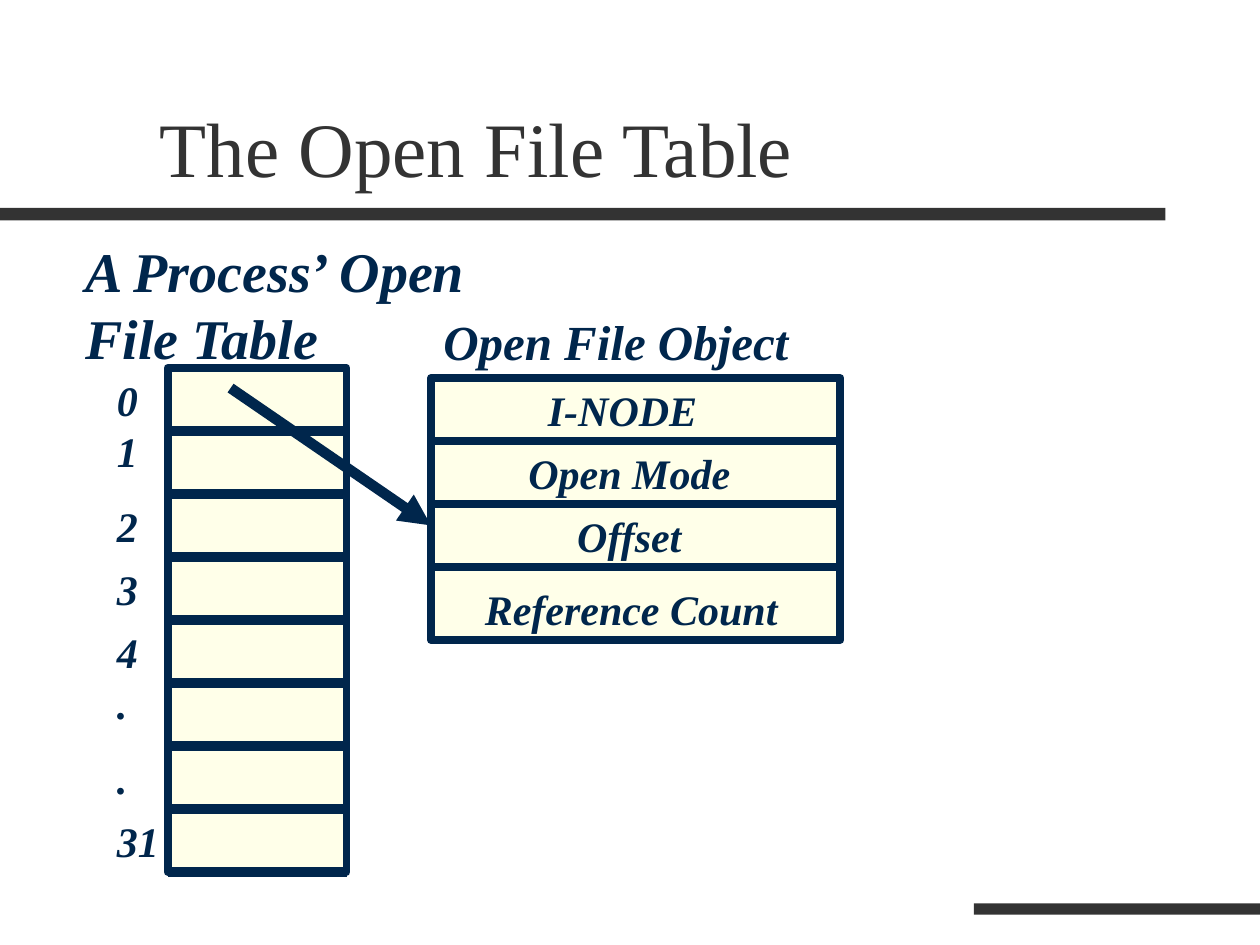
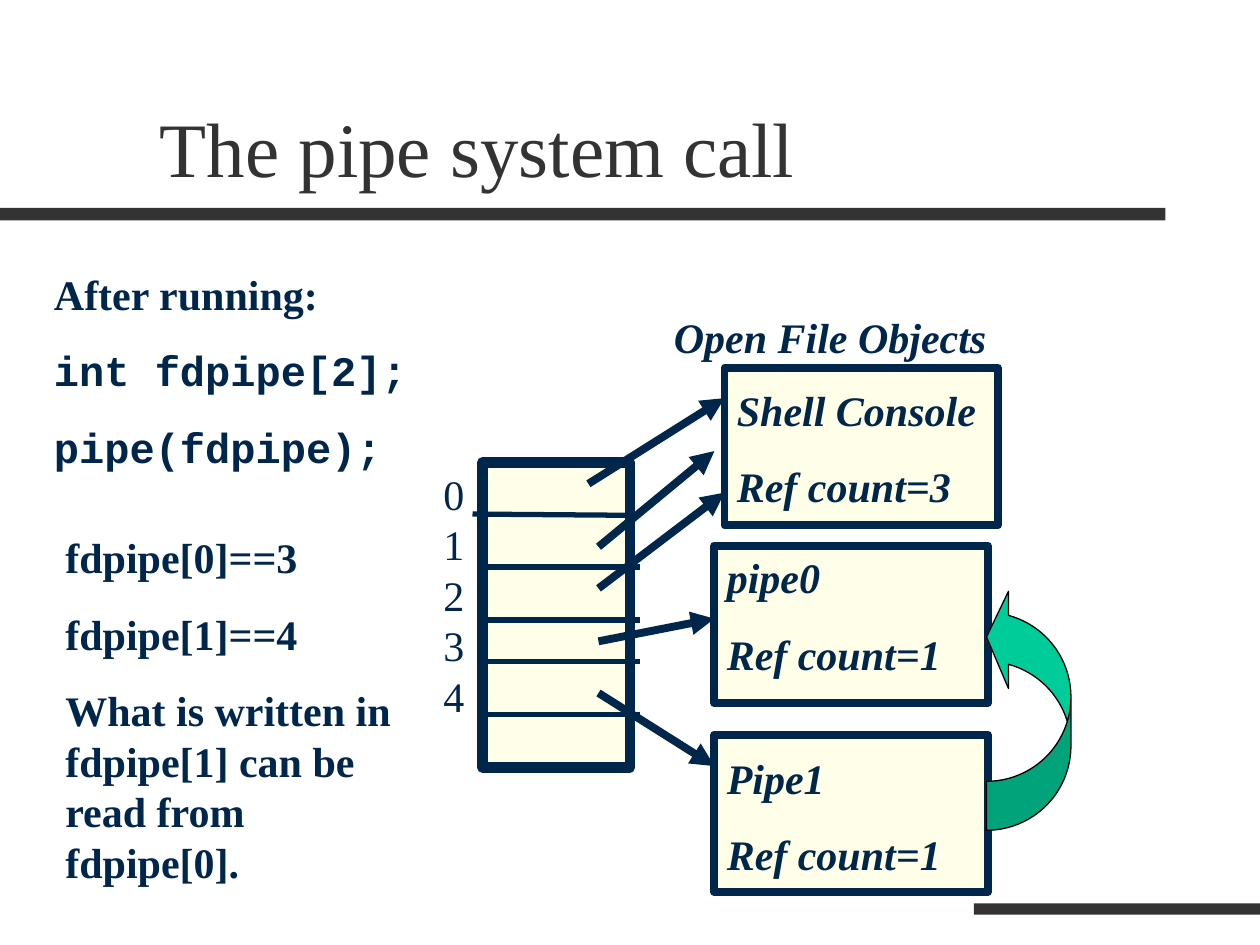
from pptx import Presentation
from pptx.dml.color import RGBColor
from pptx.enum.shapes import MSO_CONNECTOR, MSO_SHAPE
from pptx.enum.text import MSO_ANCHOR, MSO_AUTO_SIZE, PP_ALIGN
from pptx.oxml.ns import qn
from pptx.util import Inches, Pt
from lxml import etree

STRAIGHT = MSO_CONNECTOR.STRAIGHT
RECTANGLE = MSO_SHAPE.RECTANGLE
CURVED_ARROW = MSO_SHAPE.CURVED_LEFT_ARROW
BOTTOM = MSO_ANCHOR.BOTTOM
GROW = MSO_AUTO_SIZE.SHAPE_TO_FIT_TEXT
LEFT, CENTER = PP_ALIGN.LEFT, PP_ALIGN.CENTER

CHARCOAL = RGBColor(0x33, 0x33, 0x33)
NAVY = RGBColor(0x00, 0x26, 0x4C)
CREAM = RGBColor(0xFF, 0xFF, 0xE9)
GREEN = RGBColor(0x00, 0xCC, 0x99)
BLACK = RGBColor(0, 0, 0)

SERIF = "Times New Roman"
MONO = "Courier New"


def add_block(slide, box, fill, line_color=None, line_width=0, preset=RECTANGLE):
    """Add a filled shape, outlined when a line colour is given."""
    block = slide.shapes.add_shape(preset, *map(Inches, box))
    block.shadow.inherit = False
    block.fill.solid()
    block.fill.fore_color.rgb = fill
    if line_color is None:
        block.line.fill.background()
    else:
        block.line.color.rgb = line_color
        block.line.width = Pt(line_width)
    return block


def add_cell_box(slide, box, line_width=4.5):
    add_block(slide, box, CREAM, NAVY, line_width)


def add_line(slide, start, end, width, arrow=False):
    line = slide.shapes.add_connector(STRAIGHT, *map(Inches, (*start, *end)))
    line.line.color.rgb = NAVY
    line.line.width = Pt(width)
    properties = line.element.spPr
    if arrow:
        head = etree.SubElement(properties.find(qn("a:ln")), qn("a:tailEnd"))
        head.set("type", "triangle")
    etree.SubElement(properties, qn("a:effectLst"))


def format_paragraph(paragraph, size, color, bold, italic, font=SERIF):
    for run in paragraph.runs:
        run.font.name = font
        run.font.size = Pt(size)
        run.font.color.rgb = color
        run.font.bold = bold
        run.font.italic = italic


def add_label(slide, box, lines, size=24, bold=True, italic=True,
              align=LEFT, wrap=True, mono_lines=()):
    """Add navy text, one paragraph a line, spaced in step with its size."""
    label = slide.shapes.add_textbox(*map(Inches, box))
    frame = label.text_frame
    frame.word_wrap = wrap
    frame.auto_size = GROW
    frame.text = "\n".join(lines)
    for paragraph in frame.paragraphs:
        paragraph.alignment = align
        paragraph.space_before = Pt(size * 0.625)
        font = MONO if paragraph.text in mono_lines else SERIF
        format_paragraph(paragraph, size, NAVY, bold, italic, font)


def add_titled_slide(deck, title):
    """Add a slide with the shared bands and title."""
    slide = deck.slides.add_slide(deck.slide_layouts[6])
    add_block(slide, (0, 1.65, 9.25, 0.1), CHARCOAL)
    add_block(slide, (7.73, 7.17, 2.27, 0.09), CHARCOAL)
    heading = slide.shapes.add_textbox(*map(Inches, (1.17, 0.33, 8.5, 1.25)))
    frame = heading.text_frame
    frame.word_wrap = True
    frame.vertical_anchor = BOTTOM
    frame.text = title
    format_paragraph(frame.paragraphs[0], 44, CHARCOAL, False, False)
    return slide


def build_open_file_table(deck):
    slide = add_titled_slide(deck, "The Open File Table")

    # Process table with its descriptor numbers
    top, row_height = 2.92, 0.5
    descriptors = ("0", "1", "2", "3", "4", ".", ".", "31")
    raised_rows = (1, 5)
    add_cell_box(slide, (1.33, top, 1.42, row_height * len(descriptors)))
    for row in range(1, len(descriptors) + 1):
        y = top + row * row_height
        add_line(slide, (1.33, y), (2.75, y), 6)
    add_label(slide, (0.58, 1.83, 3.42, 1.18), ["A Process’ Open File Table"], 32)
    for row, descriptor in enumerate(descriptors):
        y = top + row * row_height - (0.09 if row in raised_rows else 0)
        add_label(slide, (0.83, y, 0.67, 0.5), [descriptor])
    add_line(slide, (1.83, 3.08), (3.42, 4.17), 6, arrow=True)

    # Open file object: field, left, top, width, alignment, rule below
    add_cell_box(slide, (3.42, 3, 3.25, 2.08))
    add_label(slide, (3.42, 2.42, 3.33, 0.57), ["Open File Object"], 28)
    fields = (
        ("I-NODE", 4.25, 3, 1.83, LEFT, 3.5),
        ("Open Mode", 3.58, 3.5, 2.83, CENTER, 4),
        ("Offset", 3.58, 4, 2.83, CENTER, 4.5),
        ("Reference Count", 3.75, 4.58, 2.83, LEFT, 5.08),
    )
    for field, left, field_top, width, align, rule in fields:
        add_label(slide, (left, field_top, width, 0.5), [field], align=align)
        add_line(slide, (3.42, rule), (6.67, rule), 4.5)


def build_pipe_call(deck):
    slide = add_titled_slide(deck, "The pipe system call")

    # Descriptor table
    add_cell_box(slide, (3.83, 3.67, 1.17, 2.42), 6)
    add_line(slide, (3.75, 4.08), (5, 4.09), 3)
    for y in (4.5, 4.92, 5.25, 5.67):
        add_line(slide, (3.83, y), (5.08, y), 3)
    add_label(slide, (3.42, 3.67, 0.42, 2.1), ["0 1 2 3 4"], bold=False, italic=False)

    # Open file objects: left, box top, text top, lines
    add_label(slide, (5.25, 2.42, 3, 0.5), ["Open File Objects"])
    file_objects = (
        (5.75, 2.92, 3, ("Shell Console", "Ref count=3")),
        (5.67, 4.33, 4.33, ("pipe0", "Ref count=1")),
        (5.67, 5.83, 5.92, ("Pipe1", "Ref count=1")),
    )
    for left, box_top, text_top, lines in file_objects:
        add_cell_box(slide, (left, box_top, 2.17, 1.25))
        add_label(slide, (left, text_top, 2.17, 1.11), lines)

    # Arrows from descriptors to objects
    references = (
        ((4.67, 3.84), (5.75, 3.16)),
        ((4.75, 4.34), (5.67, 3.58)),
        ((4.75, 4.67), (5.75, 3.91)),
        ((4.75, 5.09), (5.67, 4.91)),
        ((4.75, 5.5), (5.67, 6.08)),
    )
    for start, end in references:
        add_line(slide, start, end, 4.5, arrow=True)

    # Code and its outcome
    code = ("int fdpipe[2];", "pipe(fdpipe);")
    add_label(slide, (0.33, 2.08, 3, 1.72), ("After running:", *code),
              italic=False, wrap=False, mono_lines=code)
    outcome = (
        "fdpipe[0]==3",
        "fdpipe[1]==4",
        "What is written in fdpipe[1] can be read from fdpipe[0].",
    )
    add_label(slide, (0.42, 4.17, 3.08, 2.91), outcome, italic=False)

    # Data flow from Pipe1 up to pipe0
    flow = add_block(slide, (7.83, 4.67, 0.67, 1.92), GREEN, BLACK, 0.75, CURVED_ARROW)
    for index, value in enumerate((0.58, 1.15, 0.26)):
        flow.adjustments[index] = value
    flow.element.spPr.xfrm.set("flipV", "1")


def main():
    deck = Presentation()
    deck.slide_width, deck.slide_height = Inches(10), Inches(7.5)
    build_open_file_table(deck)
    build_pipe_call(deck)
    deck.save("out.pptx")


if __name__ == "__main__":
    main()
